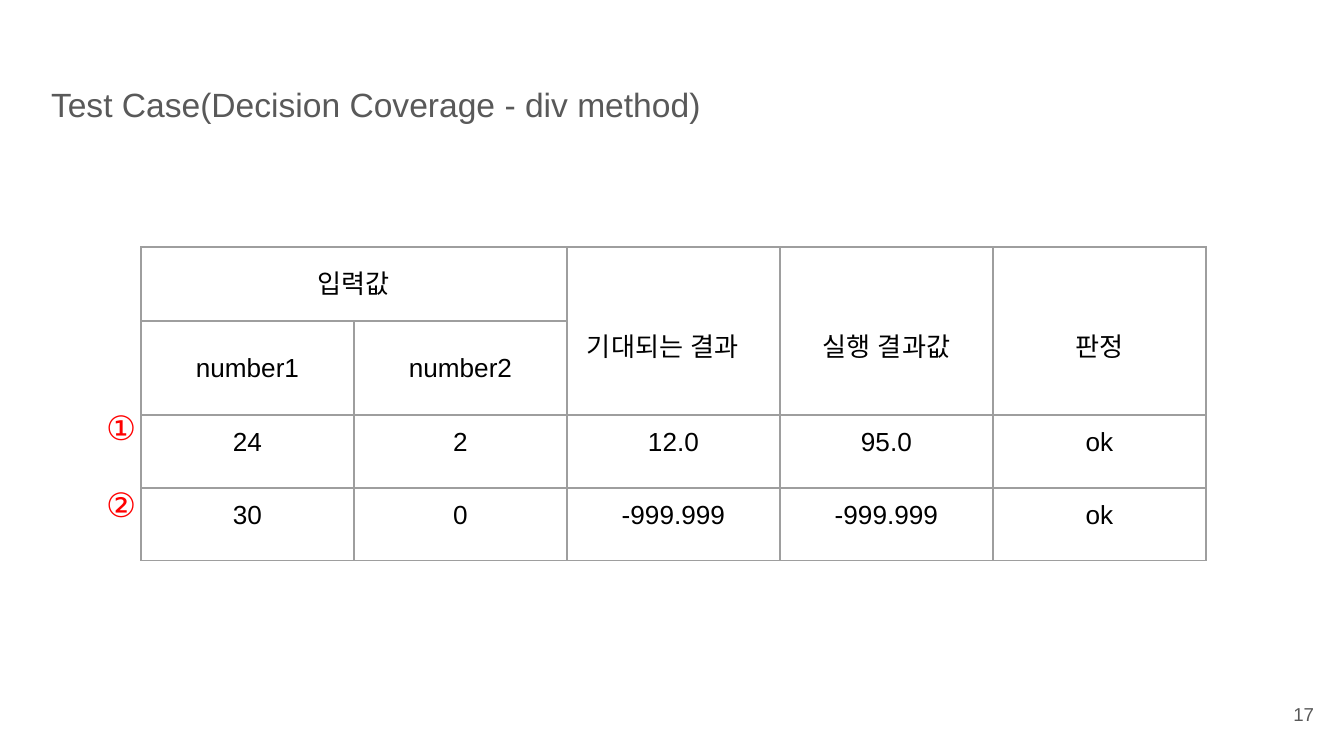
from lxml import etree
from pptx import Presentation
from pptx.dml.color import RGBColor
from pptx.enum.text import MSO_ANCHOR, MSO_AUTO_SIZE, PP_ALIGN
from pptx.oxml.ns import qn
from pptx.util import Pt

SCALE = 914400 / 134.4
LEFT, CENTER, RIGHT = PP_ALIGN.LEFT, PP_ALIGN.CENTER, PP_ALIGN.RIGHT
TOP, MIDDLE = MSO_ANCHOR.TOP, MSO_ANCHOR.MIDDLE
NO_FIT = MSO_AUTO_SIZE.NONE

FONT = "Arial"
COLORS = {"text": "000000", "muted": "595959", "mark": "FF0000", "line": "9E9E9E"}
INSET = 13
DROP = 32  # extra top inset that lowers the tall headers
COL_W = 213
ROW_H = [74, 94, 73, 73]
ROWS = [
    ["입력값", "", "기대되는 결과", "실행 결과값", "판정"],
    ["number1", "number2", "", "", ""],
    ["24", "2", "12.0", "95.0", "ok"],
    ["30", "0", "-999.999", "-999.999", "ok"],
]


def px(n):
    return round(n * SCALE)


def set_text(frame, text, size, color, align):
    frame.text = text
    para = frame.paragraphs[0]
    para.alignment = align
    for run in para.runs:
        run.font.name = FONT
        run.font.size = Pt(size)
        run.font.bold = False
        run.font.color.rgb = RGBColor.from_string(COLORS[color])
        # Hangul and circled digits take the East Asian typeface
        etree.SubElement(run.font._element, qn("a:ea"), typeface=FONT)
    return para


def set_frame(frame, anchor):
    frame.word_wrap = True
    frame.auto_size = NO_FIT
    frame.vertical_anchor = anchor
    frame.margin_left = frame.margin_right = px(INSET)
    frame.margin_top = frame.margin_bottom = px(INSET)


def add_title(slide, text, box):
    title = slide.shapes.title
    title.left, title.top, title.width, title.height = map(px, box)
    set_frame(title.text_frame, TOP)
    para = set_text(title.text_frame, text, 18, "muted", LEFT)
    para.line_spacing = 1.15
    para.space_before = Pt(0)
    para.space_after = Pt(16)


def add_label(slide, text, box, size, color, align=LEFT, anchor=TOP):
    frame = slide.shapes.add_textbox(*map(px, box)).text_frame
    set_frame(frame, anchor)
    set_text(frame, text, size, color, align)


def set_border(cell):
    props = cell._tc.get_or_add_tcPr()
    for side in ("lnL", "lnR", "lnT", "lnB"):
        line = etree.SubElement(props, qn("a:" + side), w=str(Pt(0.75)))
        fill = etree.SubElement(line, qn("a:solidFill"))
        etree.SubElement(fill, qn("a:srgbClr"), val=COLORS["line"])


def style_cell(cell, text, anchor):
    set_border(cell)
    cell.fill.background()
    cell.vertical_anchor = anchor
    cell.margin_left = cell.margin_right = px(INSET)
    cell.margin_top = cell.margin_bottom = px(INSET)
    set_text(cell.text_frame, text, 14, "text", CENTER)


def add_grid(slide, left, top):
    cols = len(ROWS[0])
    size = px(COL_W * cols), px(sum(ROW_H))
    table = slide.shapes.add_table(
        len(ROWS), cols, px(left), px(top), *size).table
    table.first_row = table.horz_banding = False
    for col in table.columns:
        col.width = px(COL_W)
    for r, row in enumerate(ROWS):
        table.rows[r].height = px(ROW_H[r])
        for c, text in enumerate(row):
            style_cell(table.cell(r, c), text, MIDDLE if r < 2 else TOP)

    table.cell(0, 0).merge(table.cell(0, 1))
    for c in range(2, cols):
        head = table.cell(0, c)
        head.merge(table.cell(1, c))
        head.margin_top = px(INSET + DROP)
    first = table.cell(0, 2)
    first.margin_left = px(INSET + 7)
    first.text_frame.paragraphs[0].alignment = LEFT


def main():
    deck = Presentation()
    deck.slide_width, deck.slide_height = px(1344), px(756)
    slide = deck.slides.add_slide(deck.slide_layouts[5])
    add_label(slide, "17", (1246, 685, 81, 58), 10, "muted", RIGHT, MIDDLE)
    add_grid(slide, 141, 247)
    add_title(slide, "Test Case(Decision Coverage - div method)",
              (38, 65, 848, 120))
    for mark, top in (("①", 394), ("②", 471)):
        add_label(slide, mark, (93, top, 79, 60), 18, "mark")
    deck.save("out.pptx")


if __name__ == "__main__":
    main()
